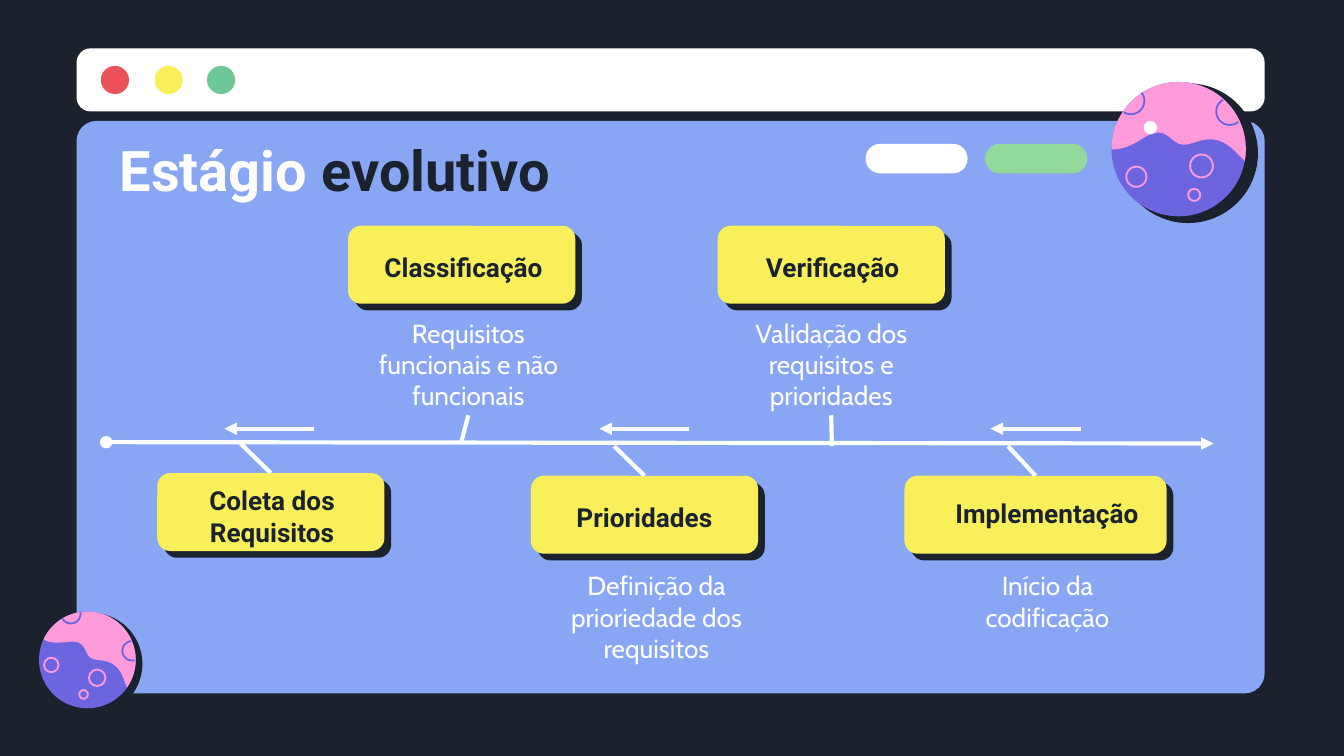
from math import cos, sin, radians
from pptx import Presentation
from pptx.dml.color import RGBColor
from pptx.enum.shapes import MSO_SHAPE as SHAPE, MSO_CONNECTOR as CONN
from pptx.enum.text import MSO_ANCHOR as ANCHOR, MSO_AUTO_SIZE as AUTO, PP_ALIGN as ALIGN
from pptx.oxml.ns import qn
from pptx.util import Inches, Pt
from lxml import etree

rgb = RGBColor.from_string
DARK, WHITE, BLUE, YELLOW = "1B222D", "FFFFFF", "88A6F3", "F8EF5B"
PINK, PURPLE = "FF9BDA", "6D65E0"

prs = Presentation()
prs.slide_width = Inches(10)
prs.slide_height = Inches(10) * 9 // 16
s = prs.slides.add_slide(prs.slide_layouts[5])
s.background.fill.solid()
s.background.fill.fore_color.rgb = rgb(DARK)


def paint(sp, fill=None, line=None):
    """Set fill and outline of a shape and take its shadow away."""
    sp.shadow.inherit = False
    if fill:
        sp.fill.solid()
        sp.fill.fore_color.rgb = rgb(fill)
    else:
        sp.fill.background()
    if line:
        sp.line.color.rgb = rgb(line)
        sp.line.width = Pt(1)
    else:
        sp.line.fill.background()
    return sp


def add(kind, x, y, w, h, fill=None, line=None, adj=None):
    sp = s.shapes.add_shape(kind, Inches(x), Inches(y), Inches(w), Inches(h))
    if adj is not None:
        sp.adjustments[0] = adj
    return paint(sp, fill, line)


# Browser window: panel, top bar, buttons and pills
add(SHAPE.ROUNDED_RECTANGLE, 0.57, 0.9, 8.84, 4.26, BLUE, adj=0.035)
add(SHAPE.ROUNDED_RECTANGLE, 0.57, 0.36, 8.84, 0.47, WHITE, adj=0.223)
for x, color in [(0.75, "EB5358"), (1.15, YELLOW), (1.54, "6DC797")]:
    add(SHAPE.OVAL, x, 0.49, 0.21, 0.21, color)
for x, color in [(6.44, WHITE), (7.33, "92D99C")]:
    add(SHAPE.ROUNDED_RECTANGLE, x, 1.07, 0.76, 0.22, color, adj=0.5)

# Planet pattern, on a circle of radius 1 around (0, 0)
cap = [(cos(radians(a)), sin(radians(a))) for a in range(180, 371, 5)]
wave = [((0.97, 0.17), (0.7, -0.15), (0.52, -0.21), (0.2, -0.09)),
        ((0.2, -0.09), (-0.15, 0.05), (-0.1, -0.45), (-0.55, -0.15)),
        ((-0.55, -0.15), (-0.77, -0.01), (-0.91, 0.01), (-1, 0))]
for a, b, c, d in wave:
    for t in [i / 12 for i in range(1, 13)]:
        u = 1 - t
        cap.append(tuple(u**3 * a[k] + 3 * u * u * t * b[k] + 3 * u * t * t * c[k] + t**3 * d[k]
                         for k in (0, 1)))
rims = [[(cx + 0.2 * cos(radians(a)), cy + 0.2 * sin(radians(a))) for a in range(start, end, 5)]
        for cx, cy, start, end in [(-0.71, -0.72, -37, 126), (0.76, -0.56, 50, 241)]]
craters = [(-0.63, 0.41, 0.15), (0.34, 0.25, 0.17), (0.23, 0.68, 0.09)]

# Planets: centre, radius, shadow offset and radius, turn in degrees
for cx, cy, rad, dx, dy, shade, turn in [(8.77, 1.11, 0.5, 0.07, 0.03, 0.52, 0),
                                         (0.65, 4.91, 0.36, 0.03, 0.03, 0.38, 25)]:
    co, si = rad * cos(radians(turn)), rad * sin(radians(turn))
    add(SHAPE.OVAL, cx + dx - shade, cy + dy - shade, 2 * shade, 2 * shade, DARK)
    add(SHAPE.OVAL, cx - rad, cy - rad, 2 * rad, 2 * rad, PURPLE)
    for points, closed in [(cap, True), (rims[0], False), (rims[1], False)]:
        pts = [(Inches(cx + x * co - y * si), Inches(cy + x * si + y * co)) for x, y in points]
        fb = s.shapes.build_freeform(*pts[0])
        fb.add_line_segments(pts[1:], close=closed)
        paint(fb.convert_to_shape(), PINK if closed else None, None if closed else PURPLE)
    for x, y, r in craters:
        px, py, r = cx + x * co - y * si, cy + x * si + y * co, r * rad
        add(SHAPE.OVAL, px - r, py - r, 2 * r, 2 * r, line=PINK)
add(SHAPE.OVAL, 8.51, 0.9, 0.1, 0.1, WHITE)

# Title, brought in front of the window
title = s.shapes.title
s.shapes._spTree.append(title._element)
title.left, title.top, title.width, title.height = map(Inches, (0.79, 0.96, 5.4, 0.6))
tf = title.text_frame
tf.auto_size, tf.vertical_anchor = AUTO.NONE, ANCHOR.MIDDLE
p = tf.paragraphs[0]
p.alignment = ALIGN.LEFT
for text, color in [("Estágio ", WHITE), ("evolutivo", DARK)]:
    r = p.add_run()
    r.text = text
    for name, value in {"name": "Roboto", "size": Pt(30), "bold": True}.items():
        setattr(r.font, name, value)
    r.font.color.rgb = rgb(color)

# Steps: card, label and its box, note and its box, end of the stem on the axis
steps = [
    ((1.17, 3.52, 1.69), "Coleta dos Requisitos", (1.06, 3.55, 1.93, 0.58), None, None, (1.79, 3.3)),
    ((2.59, 1.68, 1.69), "Classificação", (2.63, 1.7, 1.64, 0.58),
     "Requisitos funcionais e não funcionais", (2.69, 2.26, 1.59, 0.83), (3.43, 3.3)),
    ((3.95, 3.54, 1.69), "Prioridades", (4.05, 3.56, 1.49, 0.58),
     "Definição da prioriedade dos requisitos", (4.14, 4.14, 1.49, 0.83), (4.57, 3.32)),
    ((5.34, 1.68, 1.69), "Verificação", (5.45, 1.7, 1.49, 0.58),
     "Validação dos requisitos e prioridades", (5.44, 2.26, 1.49, 0.83), (6.19, 3.32)),
    ((6.73, 3.54, 1.95), "Implementação", (6.78, 3.59, 2.02, 0.46),
     "Início da codificação", (6.96, 4.14, 1.67, 0.62), (7.5, 3.32)),
]
lines = []  # start, end, head, tail, shape joined at the start, its side
for (x, y, w), label, label_box, note, note_box, end in steps:
    add(SHAPE.ROUNDED_RECTANGLE, x + 0.05, y + 0.05, w, 0.58, DARK, adj=0.167)
    card = add(SHAPE.ROUNDED_RECTANGLE, x, y, w, 0.58, YELLOW, adj=0.167)
    texts = [(label, label_box, ANCHOR.MIDDLE, "Roboto", True, DARK)]
    if note:
        texts.append((note, note_box, ANCHOR.TOP, "Cabin", False, WHITE))
    for text, box, anchor, font, bold, color in texts:
        tb = s.shapes.add_textbox(*map(Inches, box))
        tf = tb.text_frame
        for name, value in {"word_wrap": True, "vertical_anchor": anchor, "margin_left": Inches(0.1),
                            "margin_right": Inches(0.1), "margin_top": Inches(0.1),
                            "margin_bottom": Inches(0.1)}.items():
            setattr(tf, name, value)
        p = tf.paragraphs[0]
        p.alignment = ALIGN.CENTER
        r = p.add_run()
        r.text = text
        for name, value in {"name": font, "size": Pt(14), "bold": bold}.items():
            setattr(r.font, name, value)
        r.font.color.rgb = rgb(color)
    # Upper stems start under the note, lower ones at the top of the card
    joined, side = (tb, 2) if y < 3 else (card, 0)
    lines.append((end, end, None, None, joined, side))

# Time axis, stems and return arrows
lines.append(((0.79, 3.29), (9.03, 3.3), "oval", "triangle", None, None))
for x in (1.67, 4.46, 7.37):
    lines.append(((x + 0.67, 3.19), (x, 3.19), None, "triangle", None, None))
for start, end, head, tail, joined, side in lines:
    cn = s.shapes.add_connector(CONN.STRAIGHT, *map(Inches, start + end))
    if joined is not None:
        cn.begin_connect(joined, side)
    cn.line.color.rgb = rgb(WHITE)
    cn.line.width = Pt(2.25)
    ln = cn._element.spPr.find(qn("a:ln"))
    for tag, kind in [("a:headEnd", head), ("a:tailEnd", tail)]:
        if kind:
            etree.SubElement(ln, qn(tag), type=kind)
    etree.SubElement(cn._element.spPr, qn("a:effectLst"))

prs.save("out.pptx")
